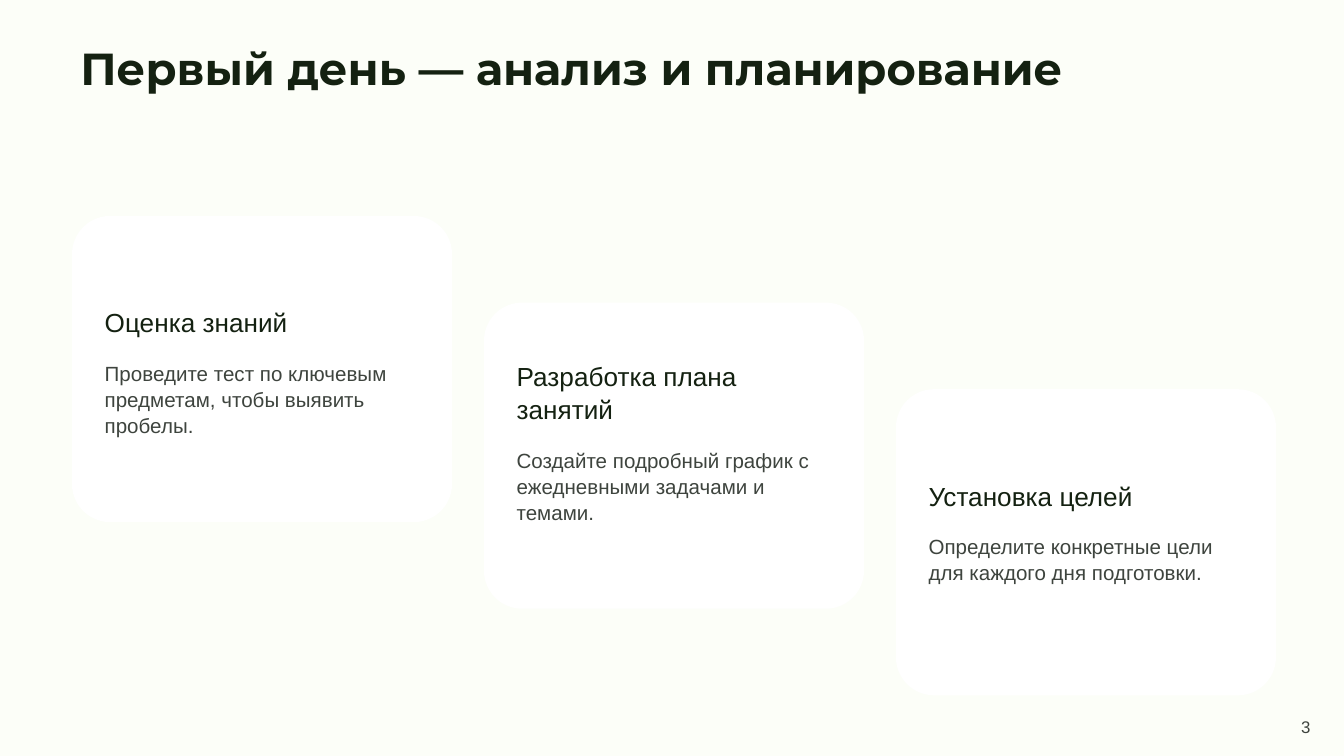
from dataclasses import dataclass

from pptx import Presentation
from pptx.dml.color import RGBColor
from pptx.enum.shapes import MSO_SHAPE
from pptx.enum.text import MSO_ANCHOR, PP_ALIGN
from pptx.slide import Slide
from pptx.util import Pt


@dataclass(frozen=True)
class Theme:
    background: RGBColor = RGBColor(0xFC, 0xFE, 0xF8)
    card: RGBColor = RGBColor(0xFF, 0xFF, 0xFF)
    heading: RGBColor = RGBColor(0x14, 0x21, 0x11)
    body: RGBColor = RGBColor(0x3E, 0x44, 0x3E)
    title_font: str = "Montserrat"
    text_font: str = "Arial"
    title_size: float = 24
    heading_size: float = 14
    body_size: float = 11
    number_size: float = 9


@dataclass(frozen=True)
class Box:
    left: float
    top: float
    width: float
    height: float


@dataclass(frozen=True)
class TextStyle:
    font: str
    size: float
    color: RGBColor
    bold: bool = False
    anchor: MSO_ANCHOR = MSO_ANCHOR.TOP
    alignment: PP_ALIGN = PP_ALIGN.LEFT
    line_spacing: float = 1.0


@dataclass(frozen=True)
class Card:
    heading: str
    body: str


THEME = Theme()
TITLE = TextStyle(THEME.title_font, THEME.title_size, THEME.heading, bold=True)
HEADING = TextStyle(THEME.text_font, THEME.heading_size, THEME.heading,
                    anchor=MSO_ANCHOR.BOTTOM, line_spacing=1.06)
BODY = TextStyle(THEME.text_font, THEME.body_size, THEME.body, line_spacing=1.06)
NUMBER = TextStyle(THEME.text_font, THEME.number_size, THEME.body,
                   alignment=PP_ALIGN.RIGHT)

FIRST_CARD = Box(39.6, 116.7, 201.6, 162)
STEP_RIGHT, STEP_DOWN = 220.7, 46.4
CARDS = [
    Card("Оценка знаний",
         "Проведите тест по ключевым предметам, чтобы выявить пробелы."),
    Card("Разработка плана занятий",
         "Создайте подробный график с ежедневными задачами и темами."),
    Card("Установка целей",
         "Определите конкретные цели для каждого дня подготовки."),
]


def add_text(slide: Slide, box: Box, text: str, style: TextStyle) -> None:
    shape = slide.shapes.add_textbox(
        Pt(box.left), Pt(box.top), Pt(box.width), Pt(box.height))
    frame = shape.text_frame
    frame.word_wrap = True
    frame.vertical_anchor = style.anchor
    paragraph = frame.paragraphs[0]
    paragraph.alignment = style.alignment
    paragraph.line_spacing = style.line_spacing
    run = paragraph.add_run()
    run.text = text
    run.font.name = style.font
    run.font.size = Pt(style.size)
    run.font.bold = style.bold
    run.font.color.rgb = style.color


def add_card(slide: Slide, box: Box, card: Card) -> None:
    shape = slide.shapes.add_shape(
        MSO_SHAPE.ROUNDED_RECTANGLE,
        Pt(box.left), Pt(box.top), Pt(box.width), Pt(box.height))
    shape.adjustments[0] = 0.12
    shape.shadow.inherit = False
    shape.fill.solid()
    shape.fill.fore_color.rgb = THEME.card
    shape.line.color.rgb = THEME.card
    shape.line.width = Pt(2)
    text_left = box.left + 9.4
    add_text(slide, Box(text_left, box.top + 10.4, 180, 57.6), card.heading, HEADING)
    add_text(slide, Box(text_left, box.top + 72.4, 180, 91.4), card.body, BODY)


def main() -> None:
    presentation = Presentation()
    presentation.slide_width = Pt(720)
    presentation.slide_height = Pt(405)
    slide = presentation.slides.add_slide(presentation.slide_layouts[6])
    slide.background.fill.solid()
    slide.background.fill.fore_color.rgb = THEME.background

    for index, card in enumerate(CARDS):
        box = Box(FIRST_CARD.left + index * STEP_RIGHT,
                  FIRST_CARD.top + index * STEP_DOWN,
                  FIRST_CARD.width, FIRST_CARD.height)
        add_card(slide, box, card)
    add_text(slide, Box(671, 380.2, 38.2, 18), "3", NUMBER)
    add_text(slide, Box(36, 18, 648, 90), "Первый день — анализ и планирование", TITLE)
    presentation.save("out.pptx")


if __name__ == "__main__":
    main()
